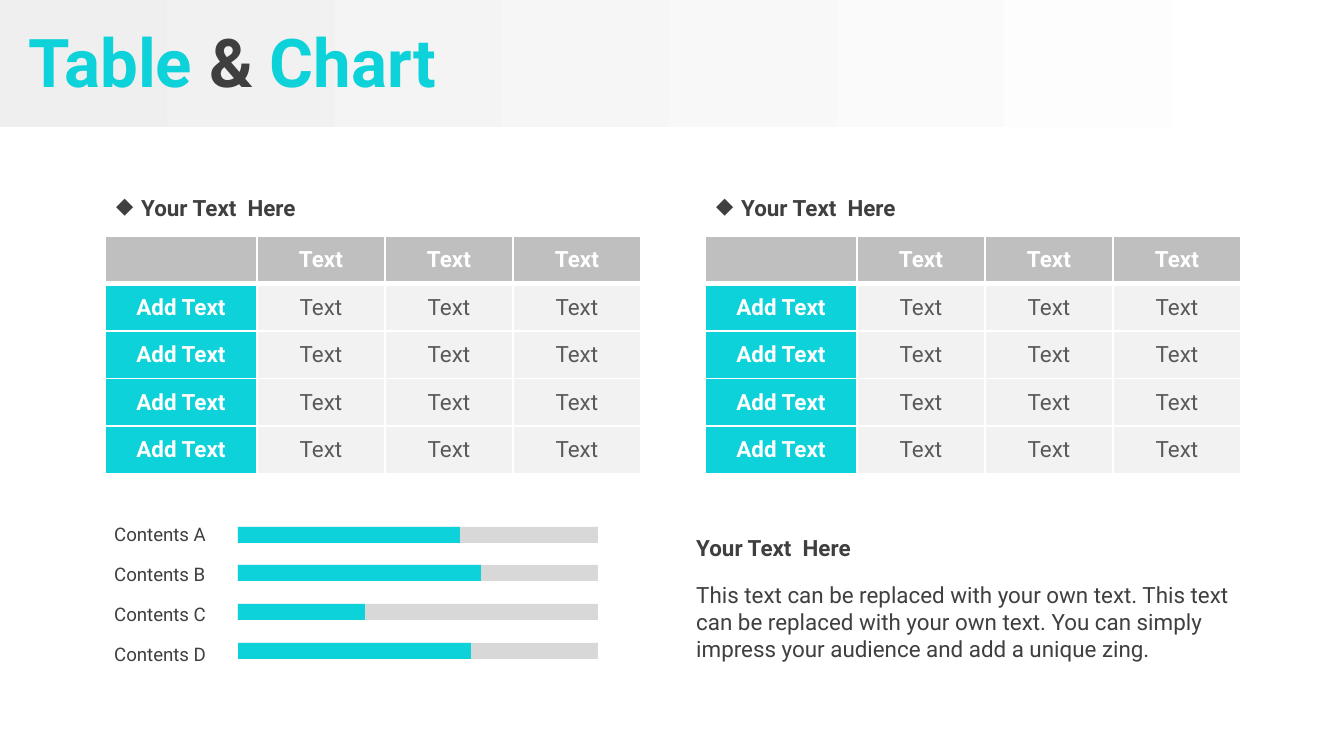
from lxml import etree
from pptx import Presentation, util as u
from pptx.dml.color import RGBColor
from pptx.enum import shapes, text
from pptx.oxml import ns

PX = 914400 / 134.4
COLOURS = {
    "accent": "0DD2D9", "dark": "3F3F3F", "body": "595959", "white": "FFFFFF",
    "header": "BFBFBF", "cell": "F2F2F2", "track": "D8D8D8", "banner": "EFEFEF",
}


def px(*lengths):
    return [u.Emu(round(length * PX)) for length in lengths]


def write(frame, content, size=12, colour="dark", bold=False, align=text.PP_ALIGN.LEFT):
    frame.word_wrap = True
    paragraph = frame.paragraphs[0]
    paragraph.alignment = align
    run = paragraph.add_run()
    run.text = content
    run.font.name = "Roboto"
    run.font.size = u.Pt(size)
    run.font.bold = bold
    run.font.color.rgb = RGBColor.from_string(COLOURS[colour])


presentation = Presentation()
presentation.slide_width, presentation.slide_height = px(1344, 756)
slide = presentation.slides.add_slide(presentation.slide_layouts[5])

title = slide.shapes.title
title.left, title.top, title.width, title.height = px(0, 4, 1344, 114)
title.text_frame.auto_size = text.MSO_AUTO_SIZE.NONE
title.text_frame.vertical_anchor = text.MSO_ANCHOR.MIDDLE
for word, colour in ((" Table ", "accent"), ("& ", "dark"), ("Chart", "accent")):
    write(title.text_frame, word, size=36, colour=colour, bold=True)

banner = slide.shapes.add_shape(shapes.MSO_SHAPE.RECTANGLE, *px(0, 0, 1339, 127))
banner.shadow.inherit = False
banner.line.fill.background()
banner.fill.gradient()
banner.fill.gradient_angle = 0
for stop, colour in zip(banner.fill.gradient_stops, ("banner", "white")):
    stop.color.rgb = RGBColor.from_string(COLOURS[colour])
title.element.addprevious(banner.element)

for left in (105, 705):
    heading = slide.shapes.add_textbox(*px(left - 2, 188, 245, 40))
    properties = heading.text_frame.paragraphs[0]._p.get_or_add_pPr()
    indent = px(25)[0]
    properties.set("marL", str(indent))
    properties.set("indent", str(-indent))
    bullet_colour = etree.SubElement(properties, ns.qn("a:buClr"))
    etree.SubElement(bullet_colour, ns.qn("a:srgbClr"), val=COLOURS["dark"])
    etree.SubElement(properties, ns.qn("a:buChar"), char="◆")
    write(heading.text_frame, "Your Text  Here", bold=True)

    table = slide.shapes.add_table(5, 4, *px(left, 236, 536, 238)).table
    for column, width in zip(table.columns, px(152, 128, 128, 128)):
        column.width = width
    for row_index, row in enumerate(table.rows):
        row.height = px(238 / 5)[0]
        for column_index, cell in enumerate(row.cells):
            is_header, is_label = row_index == 0, column_index == 0
            fill = "header" if is_header else "accent" if is_label else "cell"
            cell.fill.solid()
            cell.fill.fore_color.rgb = RGBColor.from_string(COLOURS[fill])
            cell.vertical_anchor = text.MSO_ANCHOR.MIDDLE
            cell.margin_top = cell.margin_bottom = 0
            if not (is_header and is_label):
                strong = is_header or is_label
                write(cell.text_frame, "Add Text" if is_label else "Text",
                      colour="white" if strong else "body", bold=strong,
                      align=text.PP_ALIGN.CENTER)
            cell_properties = cell._tc.get_or_add_tcPr()
            for position, side in enumerate("LRTB"):
                thick = (row_index, side) in ((0, "B"), (1, "T"))
                border = etree.Element(ns.qn(f"a:ln{side}"), w=str(u.Pt(3 if thick else 1)))
                border_fill = etree.SubElement(border, ns.qn("a:solidFill"))
                etree.SubElement(border_fill, ns.qn("a:srgbClr"), val=COLOURS["white"])
                cell_properties.insert(position, border)

labels = slide.shapes.add_group_shape()
for index, letter in enumerate("ABCD"):
    label = labels.shapes.add_textbox(*px(101, 516 + 40 * index, 125, 36))
    write(label.text_frame, f"Contents {letter}", size=10)

description = slide.shapes.add_group_shape()
body = description.shapes.add_textbox(*px(683, 575, 566, 95))
write(body.text_frame, "This text can be replaced with your own text. This text can be "
      "replaced with your own text. You can simply impress your audience and add a unique zing.")
subtitle = description.shapes.add_textbox(*px(683, 528, 566, 40))
write(subtitle.text_frame, "Your Text  Here", bold=True)

bars = slide.shapes.add_group_shape()
for index, value in enumerate((222, 243, 127, 233)):
    for width, colour in ((360, "track"), (value, "accent")):
        bar = bars.shapes.add_shape(shapes.MSO_SHAPE.RECTANGLE,
                                    *px(238, 527 + 116 * index // 3, width, 16))
        bar.shadow.inherit = False
        bar.line.fill.background()
        bar.fill.solid()
        bar.fill.fore_color.rgb = RGBColor.from_string(COLOURS[colour])

presentation.save("out.pptx")
